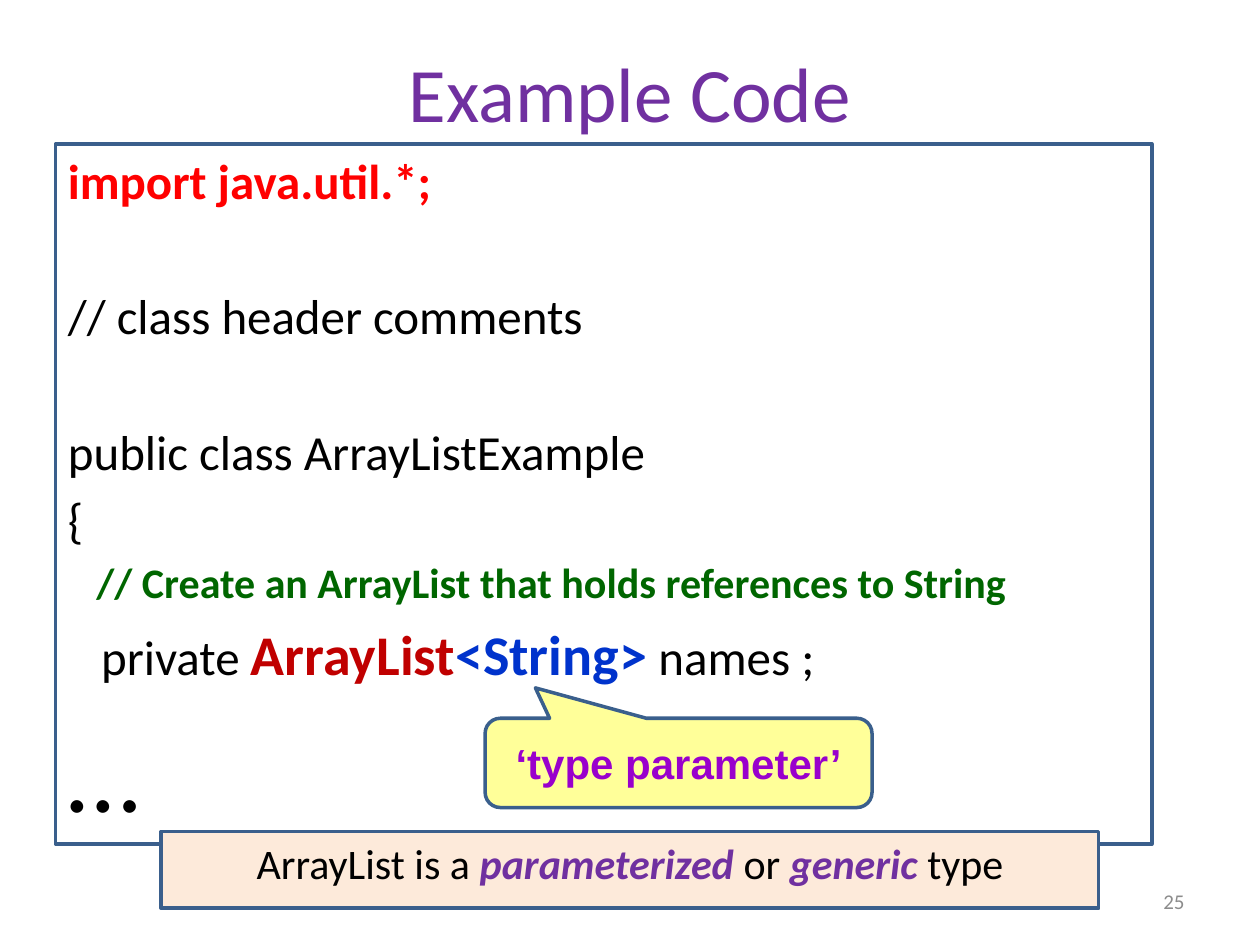
"""Build the slide that introduces ArrayList as a generic type."""
import dataclasses

import pptx
import pptx.dml.color
import pptx.enum.shapes
import pptx.enum.text
import pptx.util

Cm = pptx.util.Cm
Pt = pptx.util.Pt
ALIGN = pptx.enum.text.PP_ALIGN
ANCHOR = pptx.enum.text.MSO_ANCHOR
SHAPE = pptx.enum.shapes.MSO_SHAPE


@dataclasses.dataclass(frozen=True)
class Theme:
    body_font: str = "Calibri"
    callout_font: str = "Arial"
    black: str = "000000"
    purple: str = "7030A0"
    violet: str = "9900CC"
    red: str = "FF0000"
    dark_red: str = "C00000"
    blue: str = "0033CC"
    green: str = "006600"
    grey: str = "8C8C8C"
    outline: str = "3A5F8C"
    yellow: str = "FFFF99"
    peach: str = "FDEADA"
    title_size: int = 44
    code_size: int = 28
    type_size: int = 32
    note_size: int = 24
    ellipsis_size: int = 60
    number_size: int = 12
    line_width: int = 2


@dataclasses.dataclass(frozen=True)
class Style:
    size: int
    color: str
    bold: bool = False
    italic: bool = False
    font: str = Theme.body_font


class SlideBuilder:
    def __init__(self, slide, theme):
        self.slide = slide
        self.theme = theme

    def apply_style(self, font, style):
        font.name = style.font
        font.size = Pt(style.size)
        font.bold = style.bold
        font.italic = style.italic
        font.color.rgb = pptx.dml.color.RGBColor.from_string(style.color)

    def fill_text(self, shape, lines, align, anchor):
        frame = shape.text_frame
        frame.word_wrap = True
        frame.vertical_anchor = anchor
        for index, (space_before, runs) in enumerate(lines):
            paragraph = frame.add_paragraph() if index else frame.paragraphs[0]
            paragraph.alignment = align
            paragraph.space_before = Pt(space_before)
            styles = {style for _, style in runs}
            if len(styles) == 1:
                self.apply_style(paragraph.font, styles.pop())
            for text, style in runs:
                run = paragraph.add_run()
                run.text = text
                if paragraph.font.size is None:
                    self.apply_style(run.font, style)

    def label(self, box, text, style, align):
        shape = self.slide.shapes.add_textbox(*map(Cm, box))
        self.fill_text(shape, [(0, [(text, style)])], align, ANCHOR.MIDDLE)

    def panel(self, kind, box, lines, fill=None, align=ALIGN.CENTER, anchor=ANCHOR.TOP):
        shape = self.slide.shapes.add_shape(kind, *map(Cm, box))
        shape.shadow.inherit = False
        if fill:
            shape.fill.solid()
            shape.fill.fore_color.rgb = pptx.dml.color.RGBColor.from_string(fill)
        else:
            shape.fill.background()
        shape.line.color.rgb = pptx.dml.color.RGBColor.from_string(self.theme.outline)
        shape.line.width = Pt(self.theme.line_width)
        self.fill_text(shape, lines, align, anchor)
        return shape


def main():
    theme = Theme()
    presentation = pptx.Presentation()
    presentation.slide_width = Cm(25.4)
    presentation.slide_height = Cm(19.05)
    slide = presentation.slides.add_slide(presentation.slide_layouts[6])
    builder = SlideBuilder(slide, theme)

    code = Style(theme.code_size, theme.black)
    import_line = Style(theme.code_size, theme.red, bold=True)
    comment = Style(theme.note_size, theme.green, bold=True)
    class_name = Style(theme.type_size, theme.dark_red, bold=True)
    type_argument = Style(theme.type_size, theme.blue, bold=True)
    ellipsis = Style(theme.ellipsis_size, theme.black)
    note = Style(theme.note_size, theme.black)
    term = Style(theme.note_size, theme.purple, bold=True, italic=True)
    callout_text = Style(theme.note_size, theme.violet, bold=True, font=theme.callout_font)

    builder.label((1.27, 0.76, 22.86, 2.18), "Example Code",
                  Style(theme.title_size, theme.purple), ALIGN.CENTER)

    line_gap, section_gap = 5, 44
    code_lines = [
        (0, [("import java.util.*;", import_line)]),
        (section_gap, [("// class header comments", code)]),
        (section_gap, [("public class ArrayListExample", code)]),
        (line_gap, [("{", code)]),
        (line_gap, [("   // Create an ArrayList that holds references to String", comment)]),
        (7, [("   private ", code), ("ArrayList", class_name),
             ("<String>", type_argument), (" names ;", code)]),
        (12, [("…", ellipsis)]),
    ]
    builder.panel(SHAPE.RECTANGLE, (1.12, 2.9, 22.1, 14.12), code_lines, align=ALIGN.LEFT)

    builder.label((18.21, 17.65, 5.92, 1.02), "25",
                  Style(theme.number_size, theme.grey), ALIGN.RIGHT)

    callout = builder.panel(SHAPE.ROUNDED_RECTANGULAR_CALLOUT, (9.78, 14.48, 7.8, 1.8),
                            [(0, [("‘type parameter’", callout_text)])],
                            fill=theme.yellow, anchor=ANCHOR.MIDDLE)
    for index, value in enumerate((-0.37, -0.84, 0.17)):
        callout.adjustments[index] = value

    builder.panel(SHAPE.RECTANGLE, (3.25, 16.76, 18.9, 1.55),
                  [(0, [("ArrayList is a ", note), ("parameterized", term), (" or ", note),
                        ("generic", term), (" type", note)])], fill=theme.peach)

    presentation.save("out.pptx")


if __name__ == "__main__":
    main()
